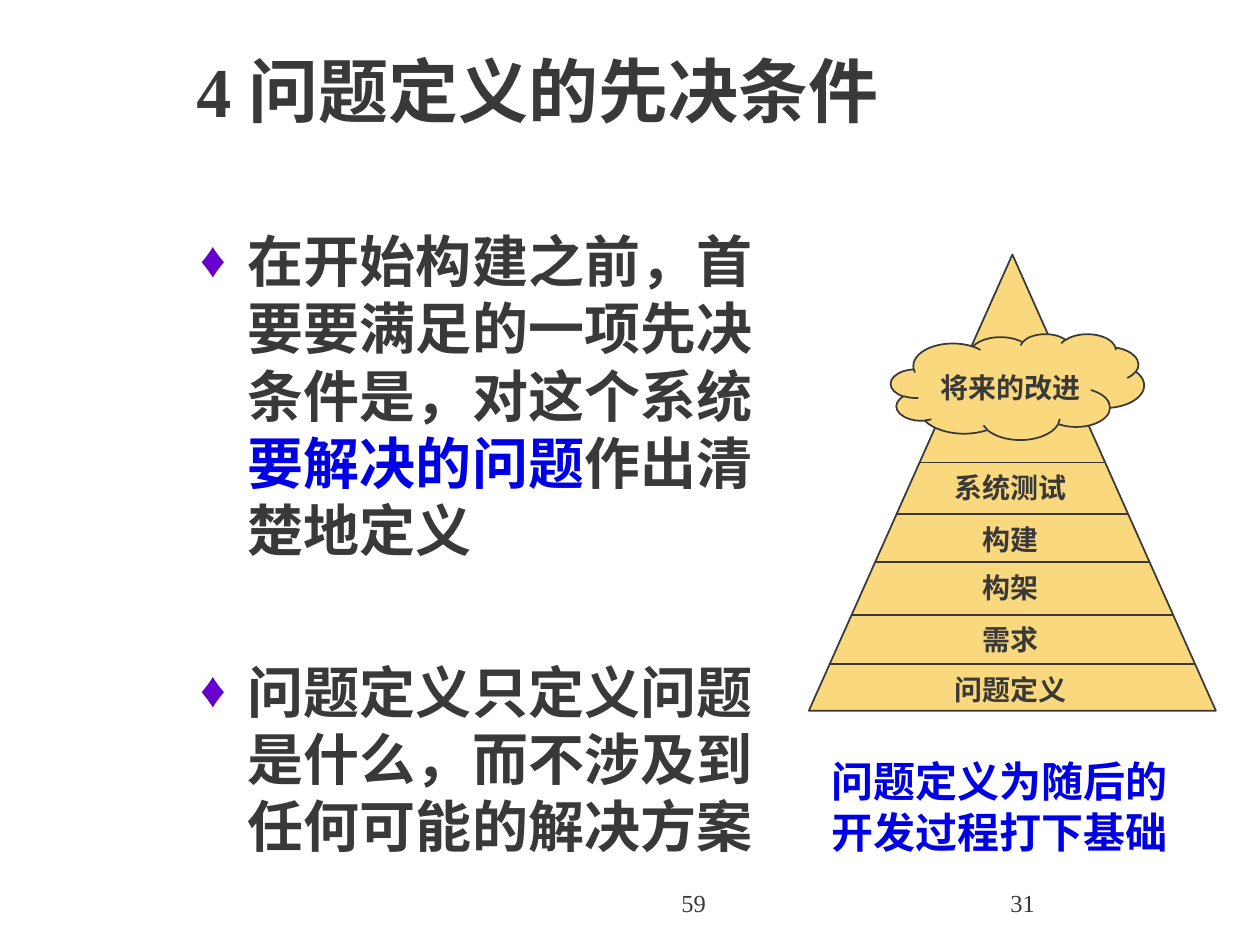
from dataclasses import dataclass
from typing import Any

from lxml.etree import SubElement
from pptx import Presentation
from pptx.dml.color import RGBColor
from pptx.enum.shapes import MSO_CONNECTOR as CONNECTOR, MSO_SHAPE as SHAPE
from pptx.enum.text import MSO_ANCHOR as ANCHOR, PP_ALIGN as ALIGN
from pptx.oxml.ns import qn
from pptx.util import Inches, Pt

COLORS = {"ink": "393939", "blue": "0000E5", "violet": "6600CC", "sand": "F9D87E"}
COLUMNS, ROWS = 100, 75


@dataclass
class Painter:
    """Draws styled elements on a slide, with lengths in columns and rows of a grid."""

    presentation: Any
    slide: Any
    shapes: Any
    font: str = "Times New Roman"

    def color(self, name):
        return RGBColor.from_string(COLORS[name])

    def across(self, columns):
        return round(self.presentation.slide_width * columns / COLUMNS)

    def down(self, rows):
        return round(self.presentation.slide_height * rows / ROWS)

    def place(self, left, top, width, height):
        return self.across(left), self.down(top), self.across(width), self.down(height)

    def begin_group(self):
        self.shapes = self.slide.shapes.add_group_shape().shapes

    def text(self, box, paragraphs, size, color="ink", bold=True, align=ALIGN.LEFT,
             anchor=ANCHOR.TOP, bullet=None, gap=0):
        frame = self.shapes.add_textbox(*self.place(*box)).text_frame
        frame.word_wrap = True
        frame.vertical_anchor = anchor
        for index, runs in enumerate(paragraphs):
            paragraph = frame.add_paragraph() if index else frame.paragraphs[0]
            paragraph.alignment = align
            if index:
                paragraph.space_before = Pt(gap)
            if bullet:
                self.bullet(paragraph, bullet)
            font = paragraph.font
            font.name, font.size, font.bold = self.font, Pt(size), bold
            if isinstance(runs, str):
                font.color.rgb = self.color(color)
                paragraph.add_run().text = runs
                continue
            for wording, run_color in runs:
                run = paragraph.add_run()
                run.text = wording
                run.font.color.rgb = self.color(run_color)

    def bullet(self, paragraph, character):
        properties = paragraph._p.get_or_add_pPr()
        indent = Inches(0.38)
        properties.set("marL", str(indent))
        properties.set("indent", str(-indent))
        bullet_color = SubElement(properties, qn("a:buClr"))
        SubElement(bullet_color, qn("a:srgbClr"), val=COLORS["violet"])
        SubElement(properties, qn("a:buSzPct"), val="90000")
        SubElement(properties, qn("a:buFont"), typeface=self.font)
        SubElement(properties, qn("a:buChar"), char=character)

    def label(self, center, top, wording):
        width = 2.3 * len(wording) + 2.4
        self.text((center - width / 2, top, width, 3.7), [wording], 16, align=ALIGN.CENTER)

    def shape(self, kind, box):
        shape = self.shapes.add_shape(kind, *self.place(*box))
        shape.shadow.inherit = False
        shape.fill.solid()
        shape.fill.fore_color.rgb = self.color("sand")
        self.outline(shape)

    def rule(self, left, right, top):
        connector = self.shapes.add_connector(
            CONNECTOR.STRAIGHT, self.across(left), self.down(top), self.across(right), self.down(top))
        SubElement(connector._element.spPr, qn("a:effectLst"))
        self.outline(connector)

    def outline(self, shape):
        shape.line.color.rgb = self.color("ink")
        shape.line.width = Pt(1)


def draw_pyramid(painter):
    left, apex, width, height = 64.2, 20.2, 32.3, 36.2
    center = left + width / 2
    label_center = center - 0.15
    bands = [("系统测试", 36.7), ("构建", 40.8), ("构架", 44.6), ("需求", 48.8), ("问题定义", 52.7)]
    painter.begin_group()
    painter.shape(SHAPE.ISOSCELES_TRIANGLE, (left, apex, width, height))
    for wording, top in bands:
        half = width / 2 * (top - apex) / height
        painter.rule(center - half, center + half, top)
        painter.label(label_center, top + 0.15, wording)
    painter.shape(SHAPE.CLOUD, (70.7, 26.5, 20.1, 8.4))
    painter.label(label_center, 28.9, "将来的改进")


def main():
    presentation = Presentation()
    presentation.slide_width, presentation.slide_height = Inches(10), Inches(7.5)
    slide = presentation.slides.add_slide(presentation.slide_layouts[6])
    painter = Painter(presentation, slide, slide.shapes)
    painter.text((14.6, 0.5, 85, 13.2), ["4 问题定义的先决条件"], 40, anchor=ANCHOR.MIDDLE)
    painter.text((14.9, 17.5, 49.3, 51.1), [
        [("在开始构建之前，首要要满足的一项先决条件是，对这个系统", "ink"),
         ("要解决的问题", "blue"), ("作出清楚地定义", "ink")],
        "问题定义只定义问题是什么，而不涉及到任何可能的解决方案",
    ], 32, bullet="♦", gap=54)
    painter.text((39.2, 70, 31.7, 5), ["59"], 14, bold=False, align=ALIGN.CENTER)
    painter.text((79.2, 70, 20.8, 5), ["31"], 14, bold=False)
    painter.text((65, 59.5, 30, 9), ["问题定义为随后的", "开发过程打下基础"], 24, "blue")
    draw_pyramid(painter)
    presentation.save("out.pptx")


if __name__ == "__main__":
    main()
